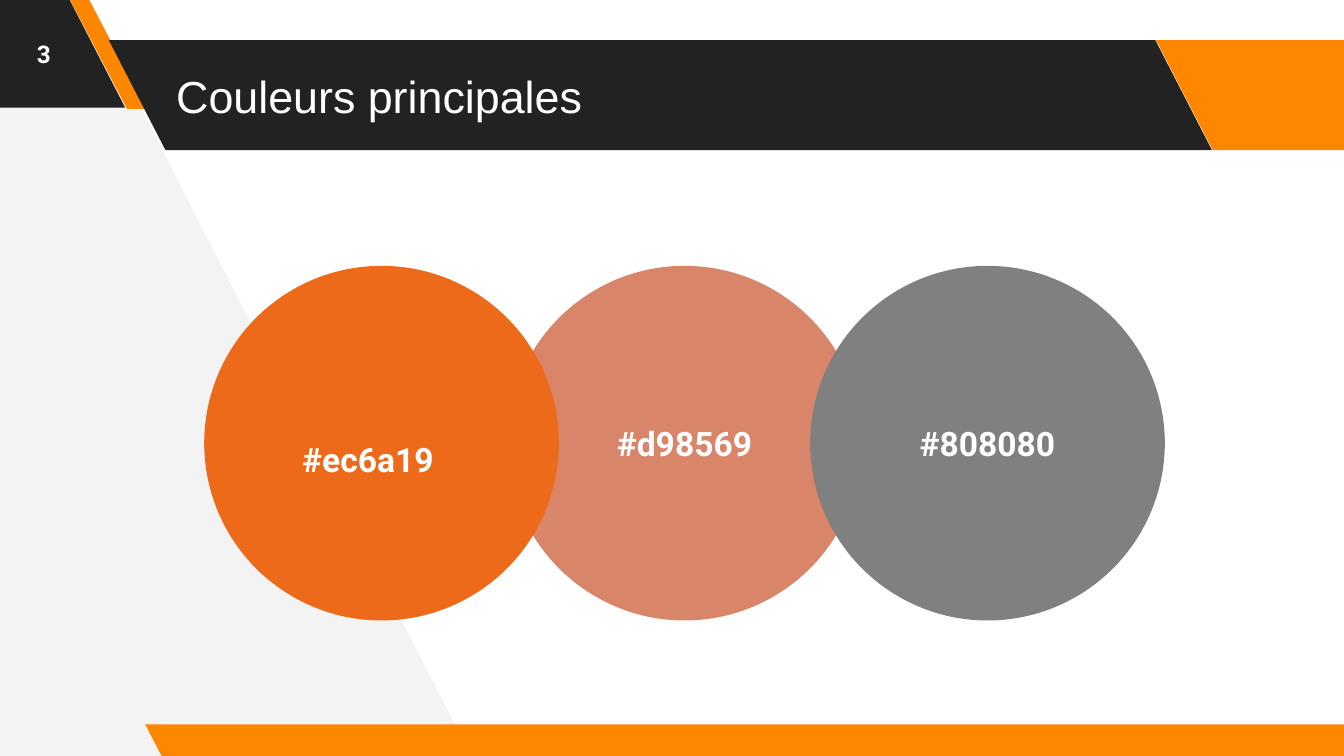
from pptx import Presentation
from pptx.dml.color import RGBColor
from pptx.enum.shapes import MSO_SHAPE as Shape
from pptx.enum.text import MSO_ANCHOR as Anchor, PP_ALIGN as Align
from pptx.util import Pt

COLORS = {
    "white": "FFFFFF",
    "pale": "F3F3F3",
    "dark": "222222",
    "accent": "FF8700",
    "orange": "EC6A19",
    "salmon": "D98569",
    "gray": "808080",
}
SLIDE_WIDTH, SLIDE_HEIGHT = 720, 405
INSET = 7.2
SLANT = 0.515


def paint(shape, color):
    """Give a plain fill, with neither outline nor shadow."""
    shape.shadow.inherit = False
    shape.fill.solid()
    shape.fill.fore_color.rgb = RGBColor.from_string(COLORS[color])
    shape.line.fill.background()


def write_text(shape, text, size=18, font="Roboto", bold=True,
               align=Align.CENTER, shift=(0, 0)):
    """Write middle-anchored text; shift moves it (left, down) by insets."""
    left, down = shift
    frame = shape.text_frame
    frame.word_wrap = True
    frame.vertical_anchor = Anchor.MIDDLE
    frame.margin_left = frame.margin_bottom = Pt(INSET)
    frame.margin_right = Pt(INSET + 2 * left)
    frame.margin_top = Pt(INSET + 2 * down)
    paragraph = frame.paragraphs[0]
    paragraph.alignment = align
    run = paragraph.add_run()
    run.text = text
    run.font.size = Pt(size)
    run.font.name = font
    run.font.bold = bold
    run.font.color.rgb = RGBColor.from_string(COLORS["white"])


def add_slanted_bar(slide, box, color, slant=SLANT):
    bar = slide.shapes.add_shape(Shape.PARALLELOGRAM, *map(Pt, box))
    bar.adjustments[0] = slant
    bar._element.spPr.get_or_add_xfrm().set("flipH", "1")
    paint(bar, color)


def add_side_panel(slide, left, top, width, height):
    right, bottom = left + width, top + height
    builder = slide.shapes.build_freeform(Pt(right), Pt(bottom - 2.9))
    builder.add_line_segments([
        (Pt(left + 49), Pt(top)),
        (Pt(left), Pt(top)),
        (Pt(left + 2.9), Pt(bottom)),
    ], close=True)
    paint(builder.convert_to_shape(), "pale")


def add_header(slide, left, top, width, height):
    add_slanted_bar(slide, (left, top, 591, height), "dark")
    accent_left = left + 561
    add_slanted_bar(slide, (accent_left, top, width - 561, height), "accent")
    title = slide.shapes.add_textbox(Pt(left + 29), Pt(top), Pt(529), Pt(height))
    write_text(title, "Couleurs principales", size=24, font="Arial",
               bold=False, align=Align.LEFT)


def add_number_tab(slide, left, top, width, height):
    add_slanted_bar(slide, (left - 71.3, top - 1.4, 138.3, 59), "dark")
    add_slanted_bar(slide, (left + 37.3, top - 0.7, 41, 59), "accent", slant=0.75)
    number = slide.shapes.add_textbox(*map(Pt, (left, top, width, height)))
    write_text(number, "3", size=13)


def add_color_circles(slide, left, top, width, diameter):
    """Spread three overlapping circles over the width, the middle one at the back."""
    step = (width - diameter) / 2
    circles = [
        (1, "salmon", (0, 0)),
        (0, "orange", (7.2, 8.5)),
        (2, "gray", (0, 0)),
    ]
    for position, color, shift in circles:
        circle = slide.shapes.add_shape(
            Shape.OVAL, Pt(left + position * step), Pt(top),
            Pt(diameter), Pt(diameter))
        paint(circle, color)
        write_text(circle, "#" + COLORS[color].lower(), shift=shift)


def main():
    presentation = Presentation()
    presentation.slide_width = Pt(SLIDE_WIDTH)
    presentation.slide_height = Pt(SLIDE_HEIGHT)
    slide = presentation.slides.add_slide(presentation.slide_layouts[6])
    add_side_panel(slide, -4.3, -2.9, 256.3, 410.4)
    add_number_tab(slide, 0, 0, 46.8, 57.6)
    add_header(slide, 58.3, 21.5, 699.2, 59)
    add_slanted_bar(slide, (77.8, 388, 658.8, 18), "accent")
    add_color_circles(slide, 109.4, 142.4, 514.6, 190)
    presentation.save("out.pptx")


if __name__ == "__main__":
    main()
